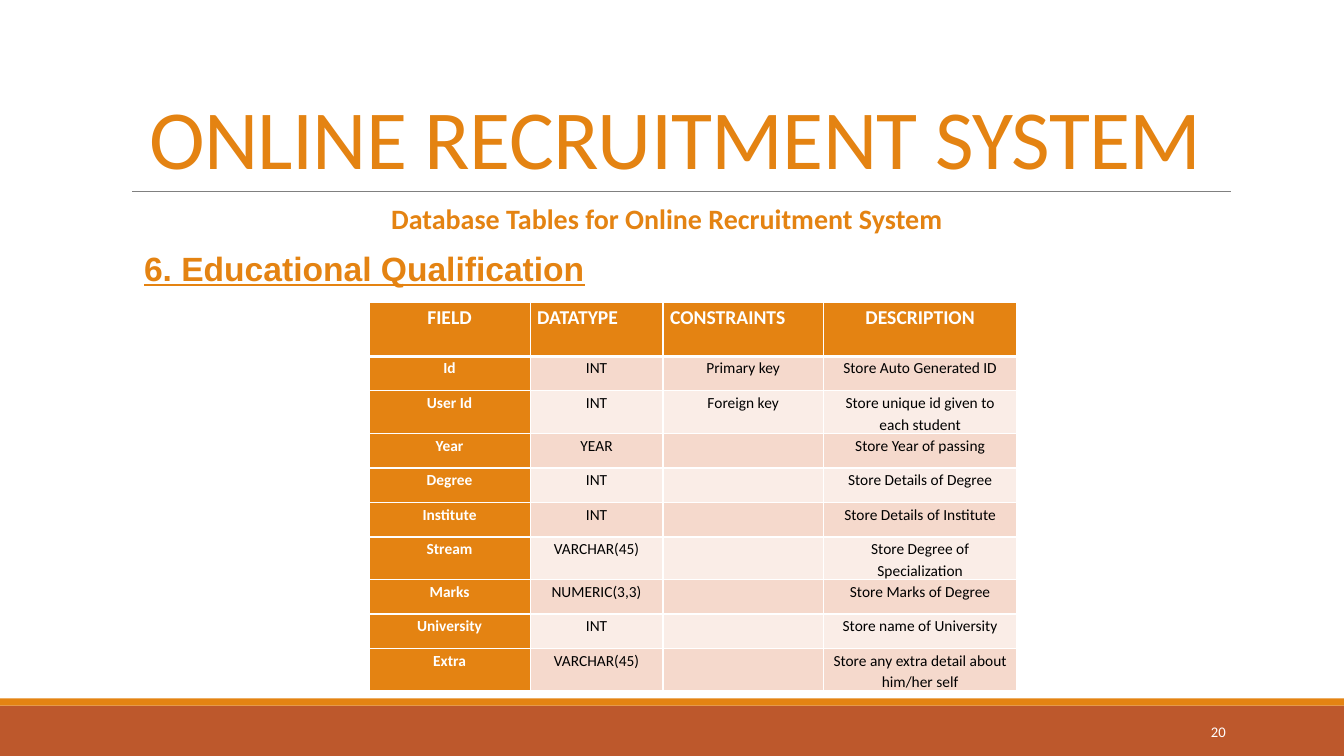
"""Builds the Educational Qualification table slide of the recruitment system deck."""
from dataclasses import dataclass

from lxml import etree
from pptx import Presentation
from pptx.dml.color import RGBColor
from pptx.enum.shapes import MSO_CONNECTOR, MSO_SHAPE
from pptx.enum.text import MSO_ANCHOR, MSO_AUTO_SIZE, PP_ALIGN
from pptx.oxml.ns import qn
from pptx.util import Cm, Pt

LEFT, CENTER, RIGHT = PP_ALIGN.LEFT, PP_ALIGN.CENTER, PP_ALIGN.RIGHT
TOP, MIDDLE, BOTTOM = MSO_ANCHOR.TOP, MSO_ANCHOR.MIDDLE, MSO_ANCHOR.BOTTOM
RECTANGLE, STRAIGHT = MSO_SHAPE.RECTANGLE, MSO_CONNECTOR.STRAIGHT
NO_AUTOFIT = MSO_AUTO_SIZE.NONE

SLIDE_W, SLIDE_H = 33.87, 19.05
COLUMNS = (4.06, 3.35, 4.04, 4.88)
HEADER_H, ROW_H = 1.36, 0.87
HEADER = ("FIELD", "DATATYPE", "CONSTRAINTS", "DESCRIPTION")
HEADER_ALIGN = (CENTER, LEFT, LEFT, CENTER)
FIELDS = (
    ("Id", "INT", "Primary key", "Store Auto Generated ID"),
    ("User Id", "INT", "Foreign key", "Store unique id given to each student"),
    ("Year", "YEAR", "", "Store Year of passing"),
    ("Degree", "INT", "", "Store Details of Degree"),
    ("Institute", "INT", "", "Store Details of Institute"),
    ("Stream", "VARCHAR(45)", "", "Store Degree of Specialization"),
    ("Marks", "NUMERIC(3,3)", "", "Store Marks of Degree"),
    ("University", "INT", "", "Store name of University"),
    ("Extra", "VARCHAR(45)", "", "Store any extra detail about him/her self"),
)


@dataclass(frozen=True)
class Theme:
    """Colours, fonts and type sizes of the slide."""
    accent: str = "E48312"
    footer: str = "BD582C"
    rule: str = "808080"
    light: str = "FFFFFF"
    dark: str = "000000"
    bands: tuple = ("F5D9CC", "FAEDE7")
    body_font: str = "Calibri"
    heading_font: str = "Arial"
    title: float = 60
    heading: float = 24
    subtitle: float = 20
    table_header: float = 14
    table_body: float = 11
    page_number: float = 10.5


class SlideBuilder:
    """Draws each kind of element on one slide in one theme."""

    def __init__(self, slide, theme):
        """Keeps the slide and its theme."""
        self.s, self.theme = slide, theme

    def style(self, p, size, color, align=LEFT, bold=False, font=None):
        """Formats one paragraph."""
        p.alignment = align
        p.font.name = font or self.theme.body_font
        p.font.size, p.font.bold = Pt(size), bold
        p.font.color.rgb = RGBColor.from_string(color)

    def title(self, text, x, y, w, h):
        """Places the title placeholder."""
        sp = self.s.shapes.title
        sp.left, sp.top, sp.width, sp.height = Cm(x), Cm(y), Cm(w), Cm(h)
        tf = sp.text_frame
        tf.text, tf.word_wrap = text, True
        tf.auto_size, tf.vertical_anchor = NO_AUTOFIT, BOTTOM
        p = tf.paragraphs[0]
        self.style(p, self.theme.title, self.theme.accent, CENTER)
        p.line_spacing = 0.85
        p.runs[0]._r.get_or_add_rPr().set("spc", "-50")

    def text(self, text, x, y, w, h, size, color, anchor=TOP, wrap=True,
             underline=False, **style):
        """Adds a text box with one paragraph."""
        sp = self.s.shapes.add_textbox(Cm(x), Cm(y), Cm(w), Cm(h))
        tf = sp.text_frame
        tf.text, tf.word_wrap, tf.vertical_anchor = text, wrap, anchor
        p = tf.paragraphs[0]
        self.style(p, size, color, **style)
        p.font.underline = underline

    def bar(self, y, h, color):
        """Adds a full-width band."""
        sp = self.s.shapes.add_shape(RECTANGLE, 0, Cm(y), Cm(SLIDE_W), Cm(h))
        sp.shadow.inherit = False
        sp.fill.solid()
        sp.fill.fore_color.rgb = RGBColor.from_string(color)
        sp.line.fill.background()

    def rule(self, x1, x2, y):
        """Adds a thin horizontal line."""
        line = self.s.shapes.add_connector(STRAIGHT, Cm(x1), Cm(y), Cm(x2), Cm(y))
        line.line.width = Pt(0.5)
        line.line.color.rgb = RGBColor.from_string(self.theme.rule)
        etree.SubElement(line._element.spPr, qn("a:effectLst"))

    def borders(self, cell, top, bottom):
        """Draws the four cell borders, with widths in points."""
        tc_pr = cell._tc.get_or_add_tcPr()
        for side, width in (("L", 1), ("R", 1), ("T", top), ("B", bottom)):
            ln = etree.SubElement(tc_pr, qn(f"a:ln{side}"), w=str(Pt(width)))
            fill = etree.SubElement(ln, qn("a:solidFill"))
            etree.SubElement(fill, qn("a:srgbClr"), val=self.theme.light)

    def cell(self, cell, text, fill, size, color, align, bold, top=1, bottom=1):
        """Fills and formats one table cell."""
        cell.margin_left = cell.margin_right = Cm(0.18)
        cell.margin_top = cell.margin_bottom = 0
        self.borders(cell, top, bottom)
        cell.fill.solid()
        cell.fill.fore_color.rgb = RGBColor.from_string(fill)
        if text:
            cell.text = text
            p = cell.text_frame.paragraphs[0]
            self.style(p, size, color, align, bold)
            p.line_spacing = 1.15

    def table(self, x, y):
        """Adds the field table with its header row and banded body."""
        t = self.theme
        height = HEADER_H + ROW_H * len(FIELDS)
        table = self.s.shapes.add_table(
            len(FIELDS) + 1, len(COLUMNS), Cm(x), Cm(y), Cm(sum(COLUMNS)), Cm(height)).table
        table.first_col, table.horz_banding = True, False
        for column, width in zip(table.columns, COLUMNS):
            column.width = Cm(width)
        for i, row in enumerate(table.rows):
            row.height = Cm(ROW_H if i else HEADER_H)
        for c, (text, align) in enumerate(zip(HEADER, HEADER_ALIGN)):
            self.cell(table.cell(0, c), text, t.accent, t.table_header, t.light,
                      align, True, bottom=3)
        for r, field in enumerate(FIELDS, 1):
            for c, text in enumerate(field):
                key = c == 0
                self.cell(table.cell(r, c), text,
                          t.accent if key else t.bands[(r - 1) % 2], t.table_body,
                          t.light if key else t.dark, CENTER, key,
                          top=3 if r == 1 else 1)


def main():
    """Builds and saves the slide."""
    prs = Presentation()
    prs.slide_width, prs.slide_height = Cm(SLIDE_W), Cm(SLIDE_H)
    t = Theme()
    b = SlideBuilder(prs.slides.add_slide(prs.slide_layouts[5]), t)
    b.bar(17.78, 1.27, t.footer)
    b.bar(17.6, 0.18, t.accent)
    b.rule(3.33, 31.01, 4.83)
    b.text("20", 27.51, 17.93, 3.63, 1.02, t.page_number, t.light, MIDDLE, align=RIGHT)
    b.title("ONLINE RECRUITMENT SYSTEM", 3.05, 0.79, 27.94, 4.04)
    b.text("Database Tables for Online Recruitment System", 4.27, 4.95, 25.07, 1.12,
           t.subtitle, t.accent, align=CENTER, bold=True)
    b.text("6. Educational Qualification", 3.38, 6.12, 11.94, 1.27, t.heading, t.accent,
           wrap=False, underline=True, bold=True, font=t.heading_font)
    b.table(9.3, 7.62)
    prs.save("out.pptx")


if __name__ == "__main__":
    main()
